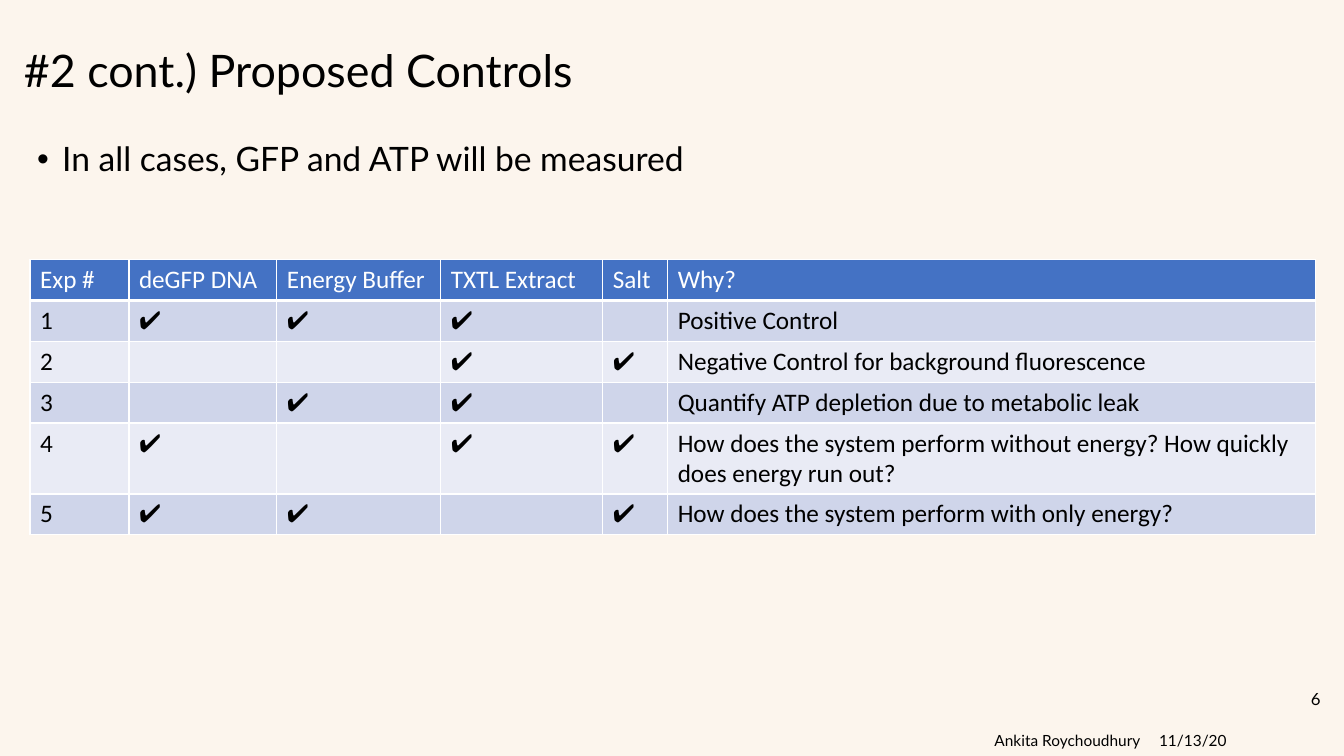
from lxml import etree
from pptx import Presentation
from pptx.dml.color import RGBColor
from pptx.enum import text
from pptx.oxml import ns
from pptx.util import Pt

BLACK, WHITE = "000000", "FFFFFF"
BACKGROUND, HEADER = "FCF5ED", "4472C4"
BANDS = ("CFD5EA", "E9EBF5")
MIDDLE = text.MSO_ANCHOR.MIDDLE

COLUMNS = {"Exp #": 70.7, "deGFP DNA": 105.7, "Energy Buffer": 117.1,
           "TXTL Extract": 115.7, "Salt": 46.4, "Why?": 463}
CHECK = "✔️"
# Ingredients present in each experiment, then the reason for it
EXPERIMENTS = [
    ("deGFP DNA, Energy Buffer, TXTL Extract", "Positive Control"),
    ("TXTL Extract, Salt", "Negative Control for background fluorescence"),
    ("Energy Buffer, TXTL Extract", "Quantify ATP depletion due to metabolic leak"),
    ("deGFP DNA, TXTL Extract, Salt",
     "How does the system perform without energy? How quickly does energy run out?"),
    ("deGFP DNA, Energy Buffer, Salt", "How does the system perform with only energy?"),
]
ROW_HEIGHT, TALL_ROW_HEIGHT, TALL_ROW = 29.2, 50.6, 4


def color(hex_value):
    return RGBColor.from_string(hex_value)


def write(frame, words, size, font="Lato", ink=BLACK, **paragraph_format):
    paragraph = frame.paragraphs[0]
    for name, value in paragraph_format.items():
        setattr(paragraph, name, value)
    run = paragraph.add_run()
    run.text = words
    for name, value in {"size": Pt(size), "name": font}.items():
        setattr(run.font, name, value)
    run.font.color.rgb = color(ink)
    return paragraph


def add_text(slide, box, words, size, anchor=MIDDLE, **paragraph_format):
    frame = slide.shapes.add_textbox(*map(Pt, box)).text_frame
    for name, value in {"word_wrap": True, "vertical_anchor": anchor}.items():
        setattr(frame, name, value)
    return write(frame, words, size, **paragraph_format)


def add_bullet(slide, box, words):
    paragraph = add_text(slide, box, words, 24, text.MSO_ANCHOR.TOP,
                         line_spacing=0.9, space_before=Pt(10))
    properties = paragraph._p.get_or_add_pPr()
    properties.set("marL", str(Pt(18)))
    properties.set("indent", str(Pt(-18)))
    etree.SubElement(properties, ns.qn("a:buFont"), typeface="Arial")
    etree.SubElement(properties, ns.qn("a:buChar"), char="•")


def add_borders(cell, widths):
    properties = cell._tc.get_or_add_tcPr()
    for side, width in widths.items():
        line = etree.SubElement(properties, ns.qn(f"a:ln{side}"), w=str(Pt(width)))
        fill = etree.SubElement(line, ns.qn("a:solidFill"))
        etree.SubElement(fill, ns.qn("a:srgbClr"), val=WHITE)


def add_controls_table(slide, box):
    *ingredients, _ = list(COLUMNS)[1:]
    rows = [list(COLUMNS)]
    for number, (present, reason) in enumerate(EXPERIMENTS, 1):
        checks = [CHECK if name in present.split(", ") else "" for name in ingredients]
        rows.append([str(number), *checks, reason])

    table = slide.shapes.add_table(len(rows), len(COLUMNS), *map(Pt, box)).table
    for column, width in zip(table.columns, COLUMNS.values()):
        column.width = Pt(width)
    for r, row in enumerate(rows):
        table.rows[r].height = Pt(TALL_ROW_HEIGHT if r == TALL_ROW else ROW_HEIGHT)
        for c, words in enumerate(row):
            cell = table.cell(r, c)
            # The rule below the header is shared by both rows it separates
            add_borders(cell, {"L": 1, "R": 1, "T": 3 if r == 1 else 1,
                               "B": 3 if r == 0 else 1})
            cell.fill.solid()
            cell.fill.fore_color.rgb = color(BANDS[(r - 1) % 2] if r else HEADER)
            if words:
                write(cell.text_frame, words, 18, "Calibri", BLACK if r else WHITE)
            else:
                cell.text_frame.paragraphs[0].font.size = Pt(18)


def add_footer(slide, box):
    left, top, width, height = box
    add_text(slide, (left + 126, top + 30.2, 66.2, height), "11/13/20", 11)
    add_text(slide, (left + width - 30.2, top, 30.2, height), "6", 12,
             alignment=text.PP_ALIGN.RIGHT)
    add_text(slide, (left, top + 30.2, 135.4, height), "Ankita Roychoudhury", 11,
             alignment=text.PP_ALIGN.CENTER)


def add_controls_slide(deck):
    slide = deck.slides.add_slide(deck.slide_layouts[6])
    slide.background.fill.solid()
    slide.background.fill.fore_color.rgb = color(BACKGROUND)
    add_bullet(slide, (19.4, 98.6, 828, 342.7), "In all cases, GFP and ATP will be measured")
    add_text(slide, (10, 0, 828, 104.4), "#2 cont.) Proposed Controls", 32, line_spacing=0.9)
    add_controls_table(slide, (21.4, 185.4, 918.6, 196.6))
    add_footer(slide, (694.8, 484.6, 255.6, 28.8))


def main():
    deck = Presentation()
    deck.slide_width, deck.slide_height = Pt(960), Pt(540)
    add_controls_slide(deck)
    deck.save("out.pptx")


if __name__ == "__main__":
    main()
